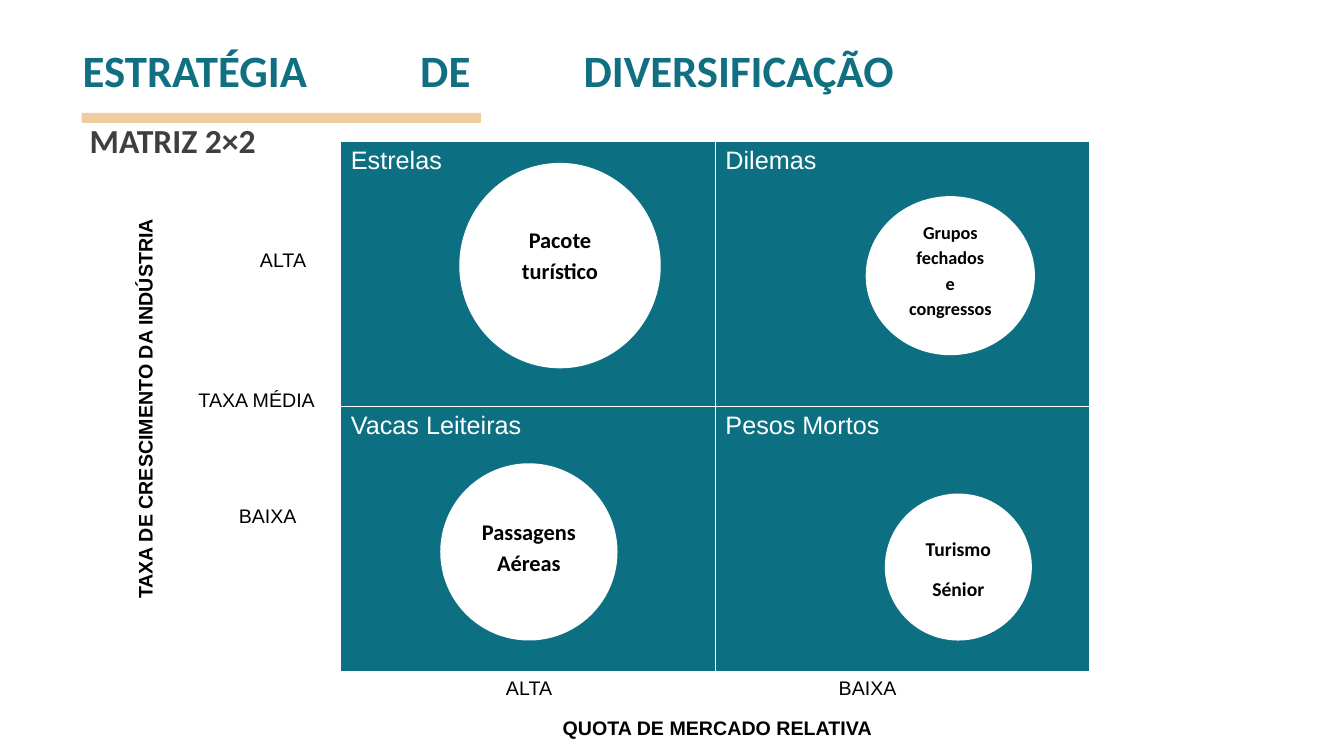
from copy import deepcopy
from dataclasses import dataclass

from pptx import Presentation
from pptx.dml.color import RGBColor
from pptx.enum.shapes import MSO_SHAPE as Kind
from pptx.enum.text import MSO_ANCHOR as Anchor, MSO_AUTO_SIZE as Fit, PP_ALIGN as Align
from pptx.oxml import parse_xml
from pptx.oxml.ns import nsdecls, qn
from pptx.util import Emu, Inches, Pt

WIDE, HIGH = Inches(13.33), Inches(7.5)
TEAL, SAND, GREY, WHITE, BLACK = "107082", "F0CDA1", "3F3F3F", "FFFFFF", "000000"
CELL = "0D7082"


@dataclass
class Area:
    """A box in percent of the slide's width and height."""
    x: float
    y: float
    w: float
    h: float

    def spot(self) -> tuple[Emu, Emu, Emu, Emu]:
        return (Emu(int(WIDE * self.x / 100)), Emu(int(HIGH * self.y / 100)),
                Emu(int(WIDE * self.w / 100)), Emu(int(HIGH * self.h / 100)))


@dataclass
class Style:
    size: float
    face: str = "Arial"
    ink: str = BLACK
    bold: bool = False


@dataclass
class Label:
    text: str
    area: Area
    bold: bool = False
    align: Align = Align.LEFT
    pad: float = 0.05
    turn: int = 0


@dataclass
class Bubble:
    lines: list[str]
    area: Area
    size: float
    foot: float
    gap: float = 0


TICK = 4.53
LABELS = [
    Label("ALTA", Area(36.91, 88.8, 5.33, TICK)),
    Label("BAIXA", Area(61.67, 88.8, 7.95, TICK)),
    Label("ALTA", Area(18.6, 32.13, 5.33, TICK)),
    Label("BAIXA", Area(17.03, 66, 6.6, TICK)),
    Label("TAXA MÉDIA", Area(14.03, 50.67, 10.73, TICK)),
    Label("QUOTA DE MERCADO RELATIVA", Area(37.73, 93.33, 31.28, 6.67),
          True, Align.CENTER, 0.1),
    Label("TAXA DE CRESCIMENTO DA INDÚSTRIA", Area(-3.75, 50, 30.08, 7.6),
          True, pad=0.1, turn=270),
]
BUBBLES = [
    Bubble(["Pacote turístico"], Area(34.28, 21.73, 14.78, 26.8), 16, 0.29),
    Bubble(["Grupos fechados", "e\vcongressos"],
           Area(64.52, 26.13, 12.38, 20.67), 13, 0.19),
    Bubble(["Turismo", "Sénior"], Area(65.94, 65.47, 10.73, 19.07), 14, 0.05, 9),
    Bubble(["Passagens Aéreas"], Area(32.86, 61.47, 12.98, 23.07), 16, 0.19),
]
MATRIX = [["Estrelas", "Dilemas"], ["Vacas Leiteiras", "Pesos Mortos"]]


def tint(code: str) -> RGBColor:
    return RGBColor.from_string(code)


def put(item, **values) -> None:
    for name, value in values.items():
        setattr(item, name, value)


def place(shape, area: Area) -> None:
    put(shape, **dict(zip(("left", "top", "width", "height"), area.spot())))


def write(frame, lines: list[str], style: Style, gap: float = 0, **form) -> None:
    """Fill a text frame; gap is the space in points between paragraphs."""
    for row, line in enumerate(lines):
        para = frame.paragraphs[0] if row == 0 else frame.add_paragraph()
        para.text = line
        put(para, space_before=Pt(gap if row else 0), **form)
        for run in para.runs:
            put(run.font, size=Pt(style.size), name=style.face, bold=style.bold)
            run.font.color.rgb = tint(style.ink)
        for rift in para._p.findall(qn("a:br")):
            rift.insert(0, deepcopy(para.runs[0]._r.rPr))


def paint(shape, fill: str) -> None:
    shape.shadow.inherit = False
    shape.fill.solid()
    shape.fill.fore_color.rgb = tint(fill)


def add_head(slide) -> None:
    title, body = slide.shapes.title, slide.placeholders[1]
    place(title, Area(5.4, -2.67, 61.89, 23.33))
    put(title.text_frame, word_wrap=True, auto_size=Fit.NONE,
        vertical_anchor=Anchor.BOTTOM)
    # The closing break lets the single line spread over the full width.
    write(title.text_frame, ["ESTRATÉGIA DE DIVERSIFICAÇÃO\v"],
          Style(32, "Calibri", TEAL, True), alignment=Align.JUSTIFY, line_spacing=0.9)
    title.text_frame.paragraphs[0]._p.append(
        parse_xml(f'<a:endParaRPr {nsdecls("a")} sz="3200" b="1">'
                  '<a:latin typeface="Calibri"/></a:endParaRPr>'))

    place(body, Area(4.05, 16.27, 20.41, 7.6))
    put(body.text_frame, word_wrap=True, auto_size=Fit.NONE,
        vertical_anchor=Anchor.TOP, margin_left=Inches(0.35))
    props = body.text_frame.paragraphs[0]._p.get_or_add_pPr()
    props.set("marL", "0")
    props.set("indent", "0")
    props.append(parse_xml(f'<a:buNone {nsdecls("a")}/>'))
    write(body.text_frame, ["MATRIZ 2×2"], Style(24, "Calibri", GREY, True),
          line_spacing=0.8)


def add_matrix(slide) -> None:
    spot = Area(25.36, 18.67, 55.74, 70.13).spot()
    table = slide.shapes.add_table(len(MATRIX), len(MATRIX[0]), *spot).table
    for r, names in enumerate(MATRIX):
        for c, name in enumerate(names):
            cell = table.cell(r, c)
            props = cell._tc.get_or_add_tcPr()
            for side in "LRTB":
                props.append(parse_xml(
                    f'<a:ln{side} {nsdecls("a")} w="{Pt(1)}"><a:solidFill>'
                    f'<a:srgbClr val="{WHITE}"/></a:solidFill></a:ln{side}>'))
            cell.fill.solid()
            cell.fill.fore_color.rgb = tint(CELL)
            write(cell.text_frame, [name], Style(18, ink=WHITE))


def add_label(slide, label: Label) -> None:
    box = slide.shapes.add_textbox(*label.area.spot())
    box.rotation = label.turn
    put(box.text_frame, word_wrap=True, margin_top=Inches(label.pad),
        margin_bottom=Inches(label.pad))
    write(box.text_frame, [label.text], Style(14, bold=label.bold),
          alignment=label.align)


def add_bubble(slide, bubble: Bubble) -> None:
    disc = slide.shapes.add_shape(Kind.OVAL, *bubble.area.spot())
    paint(disc, WHITE)
    disc.line.color.rgb = tint(WHITE)
    disc.line.width = Pt(2)
    put(disc.text_frame, word_wrap=True, vertical_anchor=Anchor.MIDDLE,
        margin_bottom=Inches(bubble.foot))
    write(disc.text_frame, bubble.lines, Style(bubble.size, "Calibri", bold=True),
          bubble.gap, alignment=Align.CENTER, line_spacing=1.15)


def main() -> None:
    deck = Presentation()
    put(deck, slide_width=WIDE, slide_height=HIGH)
    slide = deck.slides.add_slide(deck.slide_layouts[1])
    add_head(slide)
    add_matrix(slide)
    rule = slide.shapes.add_shape(Kind.RECTANGLE, *Area(6.08, 14.93, 29.71, 1.33).spot())
    paint(rule, SAND)
    rule.line.fill.background()
    for label in LABELS:
        add_label(slide, label)
    for bubble in BUBBLES:
        add_bubble(slide, bubble)
    deck.save("out.pptx")


if __name__ == "__main__":
    main()
